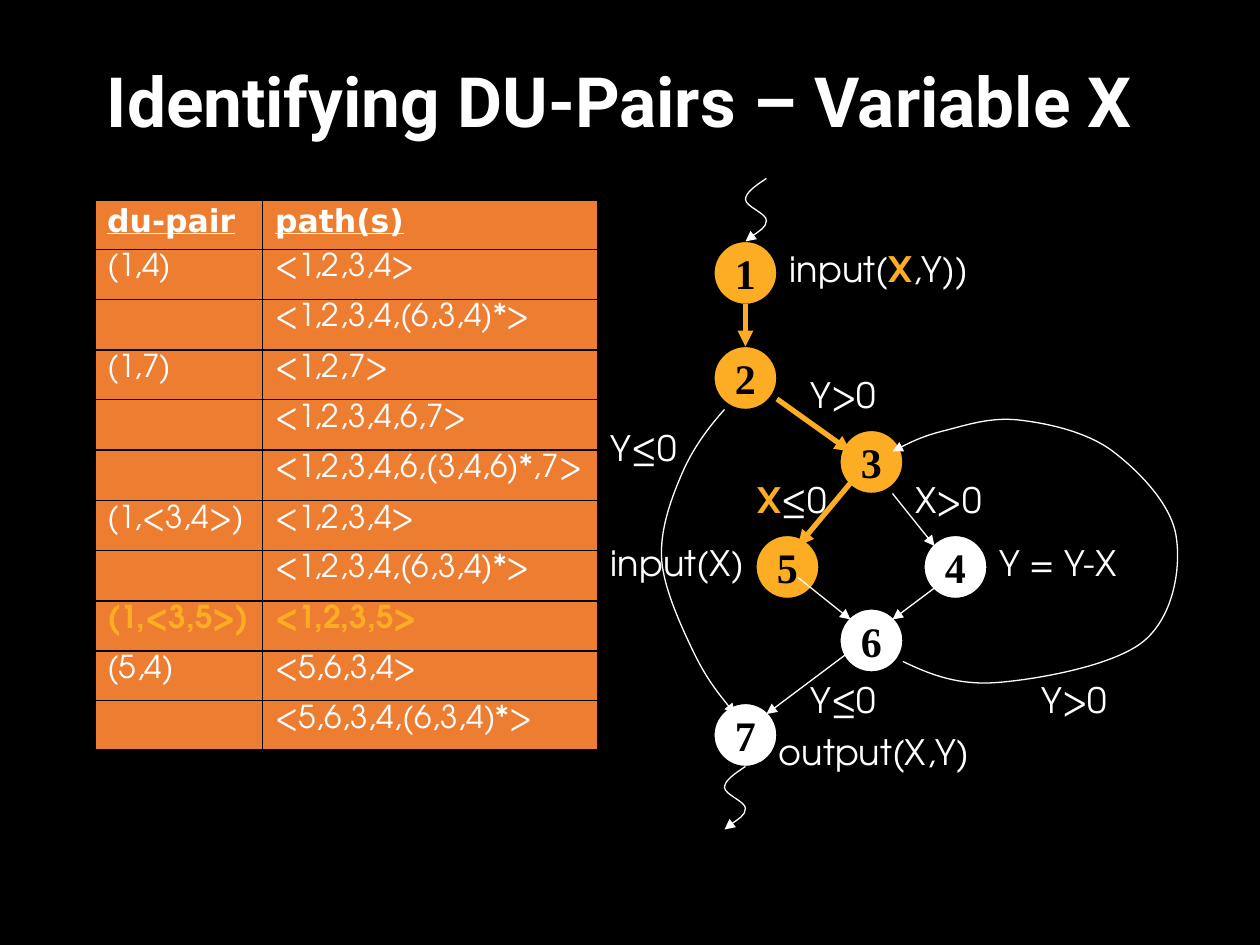
from lxml.etree import SubElement
from pptx import Presentation
from pptx.dml.color import RGBColor
from pptx.enum.shapes import MSO_CONNECTOR, MSO_SHAPE
from pptx.enum.text import MSO_ANCHOR, MSO_AUTO_SIZE, PP_ALIGN
from pptx.oxml.ns import qn
from pptx.util import Inches, Pt

COLORS = {"black": "000000", "white": "FFFFFF", "gold": "FDAD23", "orange": "ED7D31"}
TITLE_FONT, HEAD_FONT, BODY_FONT, NODE_FONT = (
    "Roboto", "DejaVu Sans", "TeX Gyre Adventor", "Times New Roman")
UNIT = Inches(1) / 12
NODE_SIZE = 6
LABEL_HEIGHT = 5.2

TITLE = "Identifying DU-Pairs – Variable X"
PAIRS = [
    ("du-pair", "path(s)"),
    ("(1,4)", "<1,2,3,4>"),
    ("", "<1,2,3,4,(6,3,4)*>"),
    ("(1,7)", "<1,2,7>"),
    ("", "<1,2,3,4,6,7>"),
    ("", "<1,2,3,4,6,(3,4,6)*,7>"),
    ("(1,<3,4>)", "<1,2,3,4>"),
    ("", "<1,2,3,4,(6,3,4)*>"),
    ("(1,<3,5>)", "<1,2,3,5>"),
    ("(5,4)", "<5,6,3,4>"),
    ("", "<5,6,3,4,(6,3,4)*>"),
]
HEAD_ROW, MARKED_ROW = 0, 8
TABLE_BOX = (9, 19, 48, 52.3)
COLUMN_SHARES = (1 / 3, 2 / 3)

NODES = [
    ("1", 68, 23, "gold"), ("2", 68, 33, "gold"), ("3", 80, 41, "gold"),
    ("4", 88, 51, "white"), ("5", 72, 51, "gold"), ("6", 80, 58, "white"),
    ("7", 68, 67, "white"),
]
EDGES = [
    (71, 29, 71, 33, "gold"), (74, 38, 81, 43, "gold"), (85, 47, 89, 52, "white"),
    (81, 46, 76, 52, "gold"), (76, 55, 81, 59, "white"), (89, 56, 85, 59, "white"),
    (81, 62, 73, 68, "white"),
]
EDGE_WIDTHS = {"gold": 3, "white": 0.75}
LABELS = [
    (74, 23, 23, [("input(", "white"), ("X", "gold"), (",Y))", "white")]),
    (94, 51, 15, [("Y = Y-X", "white")]),
    (57, 51, 16, [("input(X)", "white")]),
    (76, 35, 11, [("Y>0", "white")]),
    (76, 64, 9, [("Y≤0", "white")]),
    (86, 45, 10, [("X>0", "white")]),
    (73, 69, 22, [("output(X,Y)", "white")]),
    (71, 45, 9, [("X", "gold"), ("≤0", "white")]),
    (98, 64, 11, [("Y>0", "white")]),
    (57, 40, 9, [("Y≤0", "white")]),
]
ENTRY = [(73, 17), (72, 17.67), (71, 18.33), (71, 19), (71, 19.67), (73, 20.33),
         (73, 21), (73, 21.67), (71.33, 22.67), (71, 23)]
EXIT = [(x - 2, y + 56) for x, y in ENTRY]
BYPASS = [(69, 39), (67.4, 40.8), (66, 42.7), (65, 45), (64, 47.3), (62.9, 50.2),
          (63, 53), (63.1, 55.8), (64.8, 59.5), (66, 62), (67.2, 64.5),
          (68.6, 66.3), (70, 68)]
LOOP = [(86, 63), (88.5, 64.2), (91.2, 65.3), (95, 65), (98.8, 64.7), (106.2, 63.4),
        (109, 61), (111.8, 58.6), (112.5, 54), (112, 51), (111.5, 48), (108.5, 44.9),
        (106, 43), (103.5, 41.1), (99.7, 40.3), (97, 40), (94.3, 39.7), (92, 40.5),
        (90, 41), (88, 41.5), (86.5, 42.2), (85, 43)]


def color(key):
    return RGBColor.from_string(COLORS[key])


def grid(*units):
    return [round(unit * UNIT) for unit in units]


def set_font(font, face, size, key, bold=False):
    font.name, font.size, font.bold = face, Pt(size), bold
    font.color.rgb = color(key)


def style_arrow(arrow, key, width):
    arrow.line.color.rgb = color(key)
    arrow.line.width = Pt(width)
    SubElement(arrow.line._get_or_add_ln(), qn("a:tailEnd"), type="triangle")


def add_title(slide):
    title = slide.shapes.add_textbox(*grid(9, 5, 102, 10)).text_frame
    title.word_wrap = True
    title.vertical_anchor = MSO_ANCHOR.MIDDLE
    line = title.paragraphs[0]
    line.text, line.line_spacing = TITLE, 0.9
    set_font(line.font, TITLE_FONT, 39.6, "white", True)


def add_borders(cell, widths):
    props = cell._tc.get_or_add_tcPr()
    for side, width in zip("LRTB", widths):
        border = SubElement(props, qn(f"a:ln{side}"), w=str(Pt(width)))
        fill = SubElement(border, qn("a:solidFill"))
        SubElement(fill, qn("a:srgbClr"), val=COLORS["black"])


def add_pairs(slide):
    last_row, last_col = len(PAIRS) - 1, len(COLUMN_SHARES) - 1
    table = slide.shapes.add_table(last_row + 1, last_col + 1, *grid(*TABLE_BOX)).table
    table.horz_banding = table.first_row = False
    for column, share in zip(table.columns, COLUMN_SHARES):
        column.width = grid(TABLE_BOX[2] * share)[0]
    for r, pair in enumerate(PAIRS):
        for c, text in enumerate(pair):
            cell = table.cell(r, c)
            outer = (c == 0, c == last_col, r == 0, r == last_row)
            add_borders(cell, [2.25 if edge else 1 for edge in outer])
            cell.fill.solid()
            cell.fill.fore_color.rgb = color("orange")
            line = cell.text_frame.paragraphs[0]
            line.text, line.line_spacing = text, 0.9
            set_font(line.font, HEAD_FONT if r == HEAD_ROW else BODY_FONT, 18,
                     "gold" if r == MARKED_ROW else "white", r in (HEAD_ROW, MARKED_ROW))
            line.font.underline = r == HEAD_ROW


def add_node(slide, number, left, top, key):
    node = slide.shapes.add_shape(MSO_SHAPE.OVAL, *grid(left, top, NODE_SIZE, NODE_SIZE))
    node.shadow.inherit = False
    node.fill.solid()
    node.fill.fore_color.rgb = color(key)
    node.line.color.rgb = color("black")
    node.line.width = Pt(0.75)
    frame = node.text_frame
    frame.margin_left = frame.margin_right = frame.margin_top = frame.margin_bottom = 0
    frame.vertical_anchor = MSO_ANCHOR.MIDDLE
    line = frame.paragraphs[0]
    line.text, line.alignment = number, PP_ALIGN.CENTER
    set_font(line.font, NODE_FONT, 24, "black", True)


def add_edge(slide, x1, y1, x2, y2, key):
    edge = slide.shapes.add_connector(MSO_CONNECTOR.STRAIGHT, *grid(x1, y1, x2, y2))
    style_arrow(edge, key, EDGE_WIDTHS[key])
    SubElement(edge._element.spPr, qn("a:effectLst"))


def add_curve(slide, points):
    start, *rest = [grid(*point) for point in points]
    builder = slide.shapes.build_freeform(*start)
    builder.add_line_segments(rest, close=False)
    curve = builder.convert_to_shape()
    curve.shadow.inherit = False
    curve.fill.background()
    style_arrow(curve, "white", 0.75)
    outline = curve._element.find(".//" + qn("a:path"))
    segments = outline.findall(qn("a:lnTo"))
    for i in range(0, len(segments), 3):
        bezier = SubElement(outline, qn("a:cubicBezTo"))
        for segment in segments[i:i + 3]:
            bezier.append(segment[0])
            outline.remove(segment)


def add_label(slide, left, top, width, parts):
    label = slide.shapes.add_textbox(*grid(left, top, width, LABEL_HEIGHT)).text_frame
    label.word_wrap = True
    label.auto_size = MSO_AUTO_SIZE.SHAPE_TO_FIT_TEXT
    label.margin_right = 0
    for text, key in parts:
        run = label.paragraphs[0].add_run()
        run.text = text
        set_font(run.font, BODY_FONT, 20, key, key == "gold")


def main():
    deck = Presentation()
    deck.slide_width, deck.slide_height = Inches(10), Inches(7.5)
    slide = deck.slides.add_slide(deck.slide_layouts[6])
    slide.background.fill.solid()
    slide.background.fill.fore_color.rgb = color("black")
    add_title(slide)
    add_pairs(slide)
    for node in NODES:
        add_node(slide, *node)
    for edge in EDGES:
        add_edge(slide, *edge)
    for points in (ENTRY, EXIT, BYPASS, LOOP):
        add_curve(slide, points)
    for label in LABELS:
        add_label(slide, *label)
    deck.save("out.pptx")


if __name__ == "__main__":
    main()
